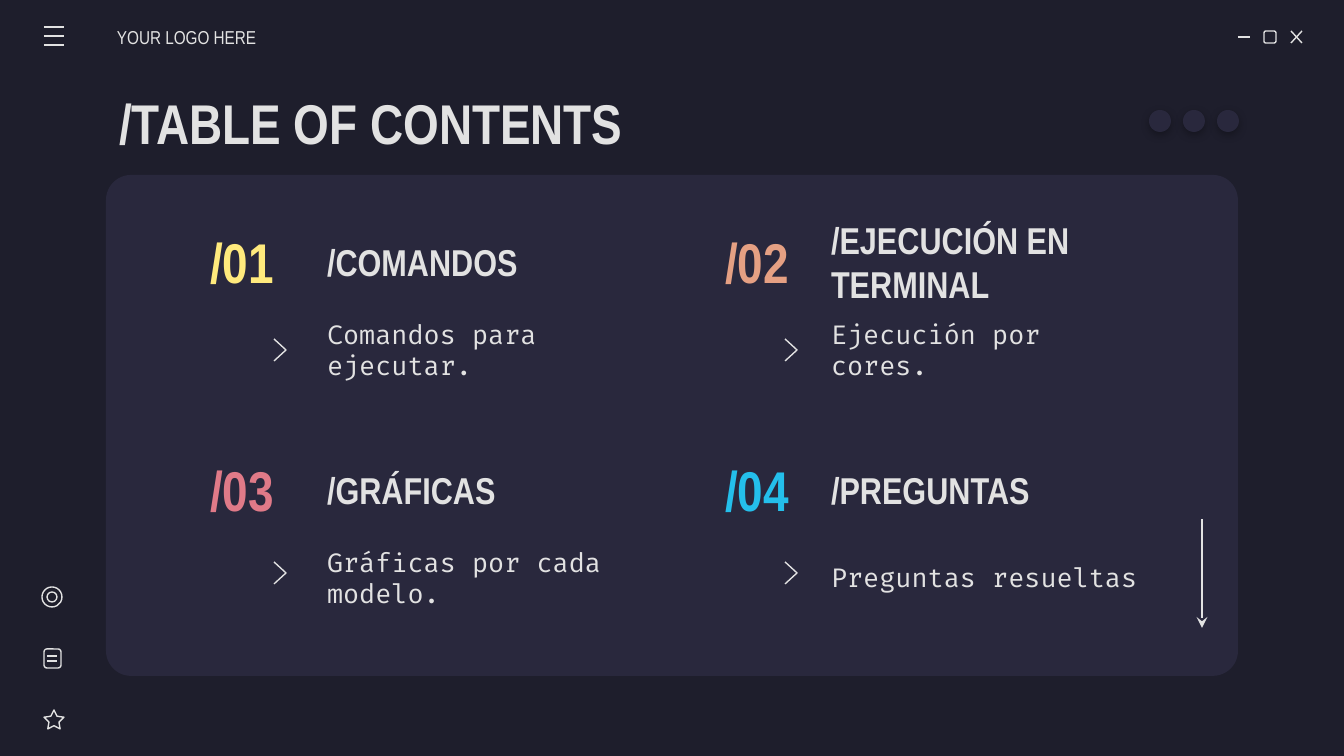
from dataclasses import dataclass

from lxml.etree import SubElement
from pptx import Presentation
from pptx.dml.color import RGBColor
from pptx.enum.shapes import MSO_CONNECTOR, MSO_SHAPE
from pptx.enum.text import MSO_ANCHOR, MSO_AUTO_SIZE, PP_ALIGN
from pptx.oxml.ns import qn
from pptx.util import Pt

EMU_PER_PX = 914400 / 134.4


@dataclass(frozen=True)
class Theme:
    background: str = "1E1E2C"
    panel: str = "29283D"
    ink: str = "E2E2E2"
    yellow: str = "FFEA7D"
    orange: str = "E5A083"
    pink: str = "E07A88"
    blue: str = "24BFEB"
    heading_font: str = "Arial Narrow"
    body_font: str = "Fira Code"
    title_size: int = 30
    heading_size: int = 20
    body_size: int = 14
    label_size: int = 10
    line_width: float = 0.75


def px(value):
    return round(value * EMU_PER_PX)


def rgb(color):
    return RGBColor.from_string(color)


def write_text(shape, text, *, font, size, color, bold=False,
               align=PP_ALIGN.LEFT, inset=13, left_inset=None):
    frame = shape.text_frame
    frame.word_wrap = True
    frame.auto_size = MSO_AUTO_SIZE.NONE
    frame.vertical_anchor = MSO_ANCHOR.MIDDLE
    frame.margin_left = px(inset if left_inset is None else left_inset)
    frame.margin_right = frame.margin_top = frame.margin_bottom = px(inset)
    paragraph = frame.paragraphs[0]
    paragraph.alignment = align
    run = paragraph.add_run()
    run.text = text
    run.font.name = font
    run.font.size = Pt(size)
    run.font.bold = bold
    run.font.color.rgb = rgb(color)


class SlideBuilder:
    def __init__(self, slide, theme):
        self.slide = slide
        self.theme = theme
        fill = slide.background.fill
        fill.solid()
        fill.fore_color.rgb = rgb(theme.background)

    def outline(self, shape):
        shape.line.color.rgb = rgb(self.theme.ink)
        shape.line.width = Pt(self.theme.line_width)

    def title(self, text, left, top, width, height, **text_format):
        shape = self.slide.shapes.title
        shape.left, shape.top = px(left), px(top)
        shape.width, shape.height = px(width), px(height)
        write_text(shape, text, **text_format)

    def text(self, text, left, top, width, height, **text_format):
        shape = self.slide.shapes.add_textbox(px(left), px(top), px(width), px(height))
        write_text(shape, text, **text_format)

    def shape(self, kind, left, top, width, height, fill=None, adjustment=None):
        """Add a filled shape without outline, or an outlined one without fill."""
        shape = self.slide.shapes.add_shape(kind, px(left), px(top), px(width), px(height))
        shape.shadow.inherit = False
        if adjustment is not None:
            shape.adjustments[0] = adjustment
        if fill:
            shape.fill.solid()
            shape.fill.fore_color.rgb = rgb(fill)
            shape.line.fill.background()
        else:
            shape.fill.background()
            self.outline(shape)
        return shape

    def shadowed_dot(self, left, top, size):
        dot = self.shape(MSO_SHAPE.OVAL, left, top, size, size, fill=self.theme.panel)
        effects = dot._element.spPr.find(qn("a:effectLst"))
        shadow = SubElement(effects, qn("a:outerShdw"), blurRad=str(Pt(4.5)),
                            dist=str(Pt(1.5)), dir="5400000", algn="bl", rotWithShape="0")
        color = SubElement(shadow, qn("a:srgbClr"), val="000000")
        SubElement(color, qn("a:alpha"), val="30000")

    def line(self, start_x, start_y, end_x, end_y, arrow=False):
        connector = self.slide.shapes.add_connector(
            MSO_CONNECTOR.STRAIGHT, px(start_x), px(start_y), px(end_x), px(end_y))
        self.outline(connector)
        if arrow:
            SubElement(connector.line._get_or_add_ln(), qn("a:tailEnd"), type="stealth")
        SubElement(connector._element.spPr, qn("a:effectLst"))

    def chevron(self, left, top, width=12, height=22):
        builder = self.slide.shapes.build_freeform(left, top, scale=EMU_PER_PX)
        builder.add_line_segments(
            [(left + width, top + height / 2), (left, top + height)], close=False)
        shape = builder.convert_to_shape()
        shape.shadow.inherit = False
        shape.fill.background()
        self.outline(shape)


def draw_window_controls(builder):
    builder.line(1238, 37, 1250, 37)
    builder.shape(MSO_SHAPE.ROUNDED_RECTANGLE, 1264, 31, 12, 12)
    builder.line(1291, 31, 1302, 43)
    builder.line(1302, 31, 1291, 43)


def draw_side_icons(builder):
    for y in (27, 36, 45):
        builder.line(44, y, 64, y)
    builder.shape(MSO_SHAPE.STAR_5_POINT, 44, 710, 20, 19, adjustment=0.25)
    builder.shape(MSO_SHAPE.ROUNDED_RECTANGLE, 44, 649, 17, 19)
    for y in (656, 661):
        builder.line(47, y, 57, y)
    builder.shape(MSO_SHAPE.OVAL, 42, 587, 20, 20)
    builder.shape(MSO_SHAPE.OVAL, 47, 592, 10, 10)


def draw_contents(builder):
    theme = builder.theme
    columns = ((181, 314, 274), (696, 818, 785))  # number, heading, chevron
    rows = ((224, 339), (452, 562))  # heading, chevron
    topics = (
        ("/COMANDOS", "Comandos para ejecutar.", theme.yellow),
        ("/EJECUCIÓN EN TERMINAL", "Ejecución por cores.", theme.orange),
        ("/GRÁFICAS", "Gráficas por cada modelo.", theme.pink),
        ("/PREGUNTAS", "Preguntas resueltas", theme.blue),
    )
    for index, (heading, description, color) in enumerate(topics):
        row, column = divmod(index, len(columns))
        number_x, heading_x, chevron_x = columns[column]
        heading_y, chevron_y = rows[row]
        builder.text(f"/{index + 1:02}", number_x, heading_y, 122, 75,
                     font=theme.heading_font, size=theme.title_size, color=color,
                     bold=True, align=PP_ALIGN.CENTER)
        builder.text(heading, heading_x, heading_y, 344, 75, font=theme.heading_font,
                     size=theme.heading_size, color=theme.ink, bold=True)
        builder.text(description, heading_x, heading_y + 75, 344, 101,
                     font=theme.body_font, size=theme.body_size, color=theme.ink)
        builder.chevron(chevron_x, chevron_y)


def main():
    presentation = Presentation()
    presentation.slide_width, presentation.slide_height = px(1344), px(756)
    theme = Theme()
    title_only = presentation.slide_layouts[5]
    builder = SlideBuilder(presentation.slides.add_slide(title_only), theme)

    builder.shape(MSO_SHAPE.ROUNDED_RECTANGLE, 106, 175, 1132, 501,
                  fill=theme.panel, adjustment=0.05)
    draw_window_controls(builder)
    builder.title("/TABLE OF CONTENTS", 106, 80, 1132, 84, font=theme.heading_font,
                  size=theme.title_size, color=theme.ink, bold=True)
    builder.text("YOUR LOGO HERE", 117, 17, 157, 40, font=theme.heading_font,
                 size=theme.label_size, color=theme.ink, left_inset=0)
    draw_contents(builder)
    draw_side_icons(builder)
    builder.line(1202, 519, 1202, 628, arrow=True)
    for index in range(3):
        builder.shadowed_dot(1149 + index * 34, 110, 22)

    presentation.save("out.pptx")


if __name__ == "__main__":
    main()
